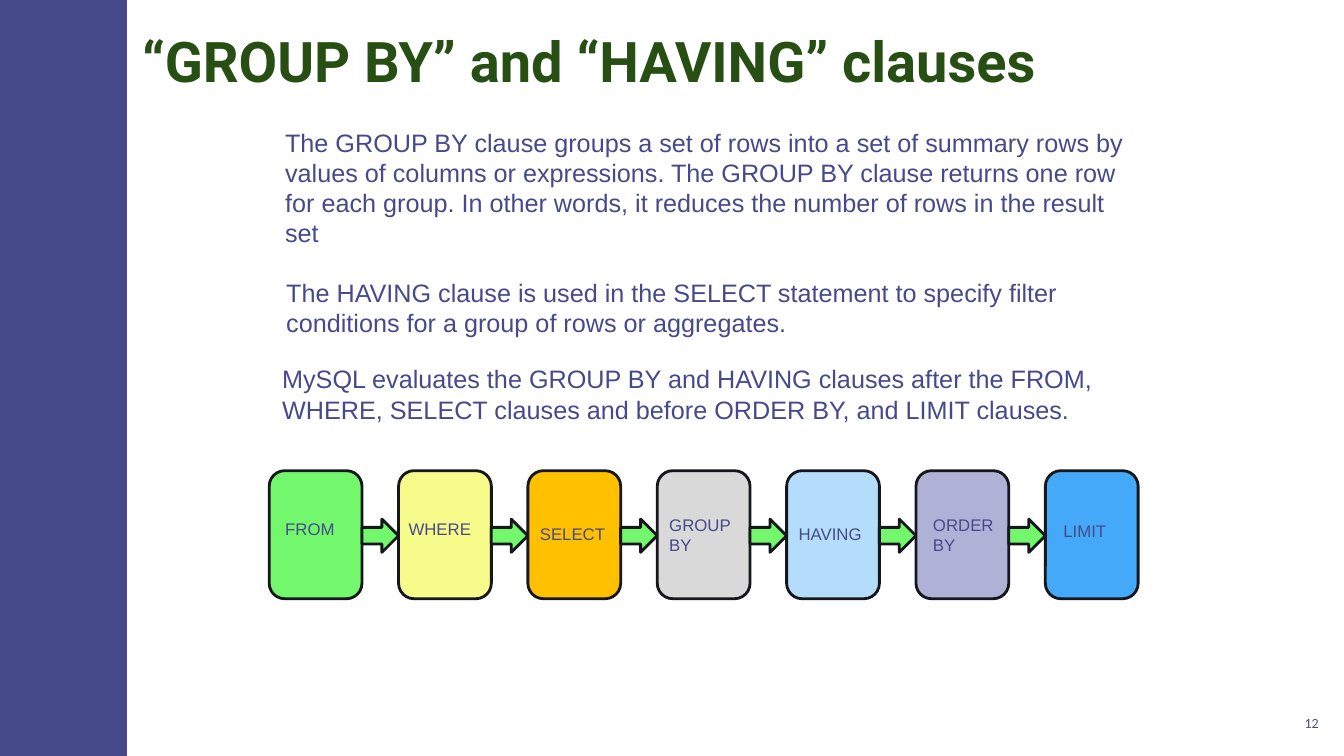
"""Build the slide on the GROUP BY and HAVING clauses with the query evaluation chain."""
from dataclasses import dataclass

from pptx import Presentation
from pptx import util as u
from pptx.dml import color
from pptx.enum import shapes, text
from pptx.slide import Slide

COLORS: dict[str, str] = {
    "indigo": "474A8A",
    "title": "274E13",
    "outline": "15171C",
    "green": "72F76D",
    "yellow": "F7FB89",
    "amber": "FFC000",
    "gray": "D9D9D9",
    "sky": "B4DDFC",
    "lavender": "B0B1D6",
    "blue": "44A9F8",
}
STEP_LEFT, STEP_TOP, STEP_WIDTH, STEP_HEIGHT = 2.67, 4.67, 0.92, 1.27
STEP_PITCH = 1.283
ARROW_TOP, ARROW_HEIGHT = 5.15, 0.33


@dataclass(frozen=True)
class TextBlock:
    content: str
    left: float
    top: float
    width: float
    height: float
    size: float = 18
    font: str = "Arial"
    color: str = "indigo"
    bold: bool = False
    align: text.PP_ALIGN = text.PP_ALIGN.LEFT
    anchor: text.MSO_ANCHOR = text.MSO_ANCHOR.TOP
    inset_x: float = 0.1
    inset_y: float = 0.05


@dataclass(frozen=True)
class Step:
    name: str
    fill: str
    label_shift: float
    label_top: float
    label_height: float = 0.3


TEXT_BLOCKS = [
    TextBlock("“GROUP BY” and “HAVING” clauses", 1.29, 0.11, 10.01, 0.97, size=40,
              font="Roboto", color="title", bold=True, anchor=text.MSO_ANCHOR.MIDDLE,
              inset_x=0.12, inset_y=0.04),
    TextBlock("12", 12.65, 7, 0.47, 0.34, size=10, font="Calibri",
              align=text.PP_ALIGN.RIGHT, anchor=text.MSO_ANCHOR.MIDDLE,
              inset_x=0.04, inset_y=0.04),
    TextBlock("The GROUP BY clause groups a set of rows into a set of summary rows by "
              "values of columns or expressions. The GROUP BY clause returns one row for "
              "each group. In other words, it reduces the number of rows in the result set",
              2.73, 1.21, 8.64, 1.31),
    TextBlock("The HAVING clause is used in the SELECT statement to specify filter "
              "conditions for a group of rows or aggregates.", 2.74, 2.7, 8.61, 0.71),
    TextBlock("MySQL evaluates the GROUP BY and HAVING clauses after the FROM, WHERE, "
              "SELECT clauses and before ORDER BY, and LIMIT clauses.",
              2.7, 3.56, 8.65, 0.71),
]
STEPS = [
    Step("FROM", "green", 0.06, 5.1),
    Step("WHERE", "yellow", 0, 5.1),
    Step("SELECT", "amber", 0.02, 5.15),
    Step("GROUP BY", "gray", 0.02, 5.06, 0.5),
    Step("HAVING", "sky", 0.02, 5.15),
    Step("ORDER BY", "lavender", 0.07, 5.06, 0.5),
    Step("LIMIT", "blue", 0.08, 5.12),
]


def rgb(name: str) -> color.RGBColor:
    return color.RGBColor.from_string(COLORS[name])


def add_block(slide: Slide, kind: shapes.MSO_SHAPE, left: float, top: float,
              width: float, height: float, fill: str, outlined: bool = True) -> None:
    shape = slide.shapes.add_shape(kind, u.Inches(left), u.Inches(top),
                                   u.Inches(width), u.Inches(height))
    shape.shadow.inherit = False
    shape.fill.solid()
    shape.fill.fore_color.rgb = rgb(fill)
    if outlined:
        shape.line.color.rgb = rgb("outline")
        shape.line.width = u.Pt(2)
    else:
        shape.line.fill.background()


def add_text(slide: Slide, block: TextBlock) -> None:
    box = slide.shapes.add_textbox(u.Inches(block.left), u.Inches(block.top),
                                   u.Inches(block.width), u.Inches(block.height))
    frame = box.text_frame
    frame.word_wrap = True
    frame.vertical_anchor = block.anchor
    frame.margin_left = frame.margin_right = u.Inches(block.inset_x)
    frame.margin_top = frame.margin_bottom = u.Inches(block.inset_y)
    paragraph = frame.paragraphs[0]
    paragraph.alignment = block.align
    run = paragraph.add_run()
    run.text = block.content
    run.font.size = u.Pt(block.size)
    run.font.name = block.font
    run.font.bold = block.bold
    run.font.color.rgb = rgb(block.color)


def add_chain(slide: Slide, steps: list[Step]) -> None:
    lefts = [STEP_LEFT + index * STEP_PITCH for index in range(len(steps))]
    for step, left in zip(steps, lefts):
        add_block(slide, shapes.MSO_SHAPE.ROUNDED_RECTANGLE, left, STEP_TOP,
                  STEP_WIDTH, STEP_HEIGHT, step.fill)
    for left in lefts[:-1]:
        add_block(slide, shapes.MSO_SHAPE.RIGHT_ARROW, left + STEP_WIDTH, ARROW_TOP,
                  STEP_PITCH - STEP_WIDTH, ARROW_HEIGHT, "green")
    for step, left in zip(steps, lefts):
        add_text(slide, TextBlock(step.name, left + step.label_shift, step.label_top,
                                  STEP_WIDTH, step.label_height, size=12))


def main() -> None:
    presentation = Presentation()
    presentation.slide_width = u.Inches(13.33)
    presentation.slide_height = u.Inches(7.5)
    slide = presentation.slides.add_slide(presentation.slide_layouts[6])
    add_block(slide, shapes.MSO_SHAPE.RECTANGLE, 0, 0, 1.26, 7.5, "indigo", outlined=False)
    for block in TEXT_BLOCKS:
        add_text(slide, block)
    add_chain(slide, STEPS)
    presentation.save("out.pptx")


if __name__ == "__main__":
    main()
